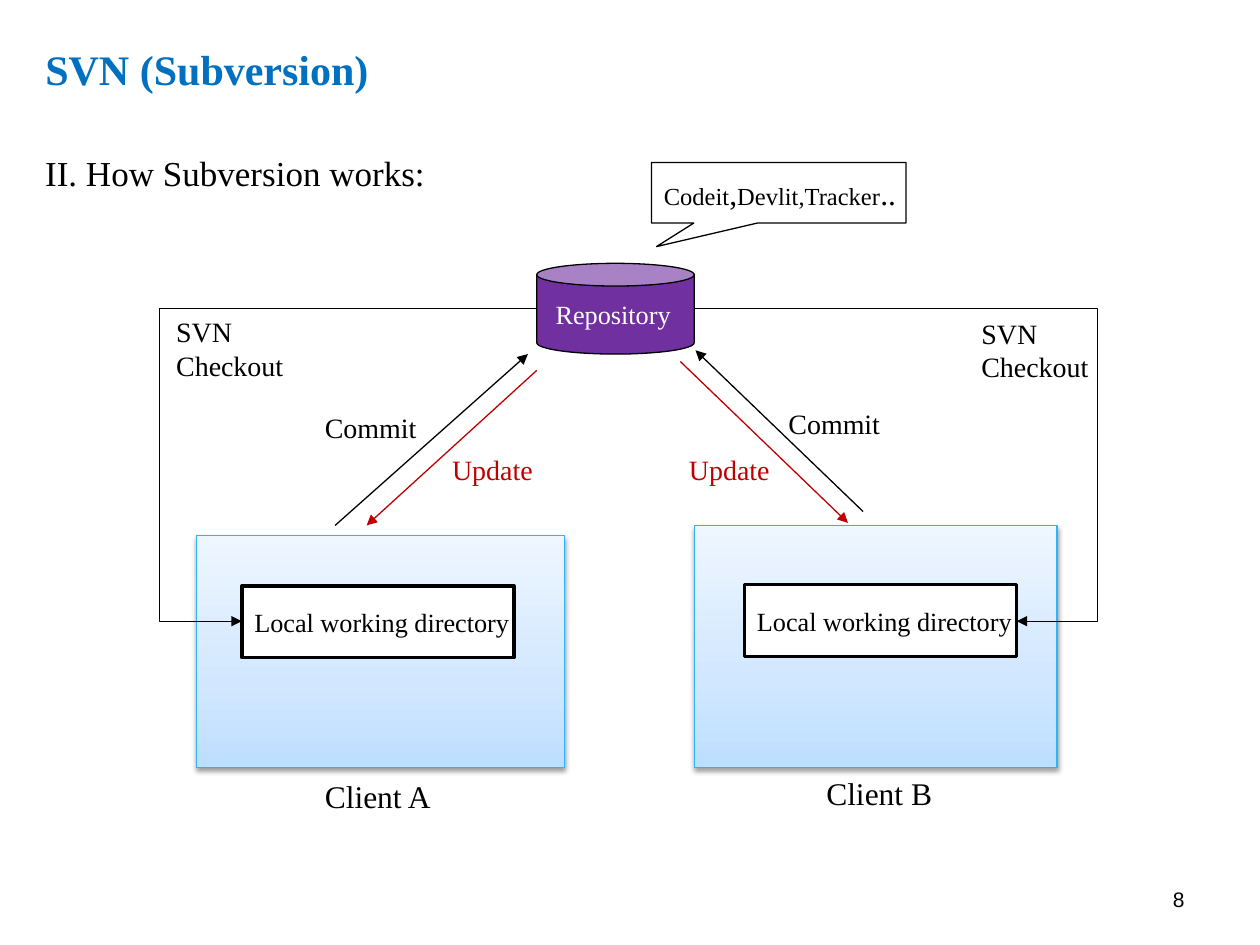
from copy import deepcopy
from pptx import Presentation
from pptx.dml.color import RGBColor
from pptx.enum.shapes import MSO_CONNECTOR, MSO_SHAPE
from pptx.enum.text import MSO_ANCHOR, PP_ALIGN
from pptx.oxml import parse_xml
from pptx.oxml.ns import nsdecls, qn
from pptx.util import Inches, Pt

SERIF = "Times New Roman"
BLACK, WHITE, RED = "000000", "FFFFFF", "C00000"


def rgb(code):
    """Turn a hex string into a colour."""
    return RGBColor.from_string(code)


def style(font, size, color=BLACK, name=SERIF):
    """Set the face, size and colour of a font."""
    font.name, font.size = name, Pt(size)
    font.color.rgb = rgb(color)


def label(slide, box, text, size, color=BLACK, name=SERIF):
    """Place a wrapped line of text and return its paragraph."""
    frame = slide.shapes.add_textbox(*map(Inches, box)).text_frame
    frame.word_wrap = True
    para = frame.paragraphs[0]
    para.text = text
    style(para.font, size, color, name)
    return para


def block(slide, kind, box, fill=WHITE, width=0.75):
    """Place an outlined shape whose text starts at the left."""
    shape = slide.shapes.add_shape(kind, *map(Inches, box))
    shape.shadow.inherit = False
    shape.fill.solid()
    shape.fill.fore_color.rgb = rgb(fill)
    shape.line.color.rgb = rgb(BLACK)
    shape.line.width = Pt(width)
    frame = shape.text_frame
    frame.word_wrap = False
    frame.vertical_anchor = MSO_ANCHOR.MIDDLE
    frame.paragraphs[0].alignment = PP_ALIGN.LEFT
    return shape


def arrow(slide, start, end, color=BLACK, bend=None):
    """Draw a straight arrow, or a bent one when bend is given."""
    kind = MSO_CONNECTOR.STRAIGHT if bend is None else MSO_CONNECTOR.ELBOW
    line = slide.shapes.add_connector(kind, *map(Inches, start + end))
    line.line.color.rgb = rgb(color)
    line.line.width = Pt(0.75)
    props = line._element.spPr
    props.find(qn("a:ln")).append(
        parse_xml(f'<a:tailEnd {nsdecls("a")} type="triangle"/>'))
    props.append(parse_xml(f'<a:effectLst {nsdecls("a")}/>'))
    if bend is not None:
        guide = f'<a:gd {nsdecls("a")} name="adj1" fmla="val {round(bend * 100000)}"/>'
        props.find(qn("a:prstGeom")).get_or_add_avLst().append(parse_xml(guide))


def heading(slide, left, top, width):
    """Place the title and the subject line below it."""
    title = slide.shapes.title
    title.left, title.top = Inches(left), Inches(top)
    title.width, title.height = Inches(width), Inches(0.76)
    title.text_frame.vertical_anchor = MSO_ANCHOR.MIDDLE
    para = title.text_frame.paragraphs[0]
    para.text = "SVN (Subversion)"
    para.alignment = PP_ALIGN.LEFT
    para.line_spacing = 0.9
    style(para.font, 24, "0070C0")
    para.font.bold = True
    label(slide, (left, top + 0.96, width, 0.45), "II. How Subversion works:", 20)


def store(slide, left, top):
    """Place the repository and the callout with its hosts."""
    can = block(slide, MSO_SHAPE.CAN, (left, top, 1.25, 0.72), "7030A0")
    can.text_frame.margin_left = Inches(0.15)
    para = can.text_frame.paragraphs[0]
    para.text = "Repository"
    style(para.font, 15, WHITE)

    note = block(slide, MSO_SHAPE.RECTANGULAR_CALLOUT, (left + 0.91, top - 0.8, 2.02, 0.48))
    note.adjustments[0], note.adjustments[1] = -0.48, 0.89
    para = note.text_frame.paragraphs[0]
    for text, size in ("Codeit", 14), (",", 18), ("Devlit,Tracker", 14), ("..", 18):
        run = para.add_run()
        run.text = text
        style(run.font, size)


def shade(shape):
    """Give a panel its blue gradient and soft shadow."""
    fill = shape.fill
    fill.gradient()
    fill.gradient_angle = 90
    first = fill.gradient_stops[0]._gs
    first.addnext(deepcopy(first))
    tones = (0, "BDDEFF"), (0.35, "D1E7FF"), (1, "EEF6FF")
    for stop, (place, color) in zip(fill.gradient_stops, tones):
        stop.position = place
        stop.color.rgb = rgb(color)
    shape.line.color.rgb = rgb("2BB4FC")
    effect = shape._element.spPr.find(qn("a:effectLst"))
    effect.append(parse_xml(
        f'<a:outerShdw {nsdecls("a")} blurRad="{Pt(3.1)}" dist="{Pt(1.6)}" '
        'dir="5400000" rotWithShape="0"><a:srgbClr val="000000">'
        '<a:alpha val="38000"/></a:srgbClr></a:outerShdw>'))


def client(slide, box, inner, name, spot):
    """Place a client panel, its working directory and its name."""
    left, top, width, height = box
    shade(block(slide, MSO_SHAPE.RECTANGLE, box))
    place = (left + inner[0], top + inner[1], 2.16, 0.57)
    folder = block(slide, MSO_SHAPE.RECTANGLE, place, width=2)
    para = folder.text_frame.paragraphs[0]
    para.text = "Local working directory"
    style(para.font, 15)
    label(slide, (left + spot[0], top + height + spot[1], 1.2, 0.4), name, 18)


def flow(slide, checkout, commit, update, bend, spots):
    """Draw the three exchanges of one client with their labels."""
    arrow(slide, *checkout, bend=bend)
    arrow(slide, *commit)
    arrow(slide, *update, color=RED)
    names = ("SVN Checkout", 1.31, 0.64, BLACK), ("Commit", 1.04, 0.37, BLACK), ("Update", 1.04, 0.37, RED)
    for (text, width, height, color), spot in zip(names, spots):
        label(slide, (*spot, width, height), text, 16, color)


def main():
    """Build the slide and save it."""
    deck = Presentation()
    deck.slide_width, deck.slide_height = Inches(10), Inches(7.5)
    slide = deck.slides.add_slide(deck.slide_layouts[5])
    heading(slide, 0.26, 0.19, 9.49)
    store(slide, 4.26, 2.09)
    client(slide, (1.56, 4.25, 2.92, 1.84), (0.36, 0.4), "Client A", (0.92, 0.03))
    client(slide, (5.51, 4.17, 2.88, 1.92), (0.4, 0.47), "Client B", (0.95, 0))
    flow(slide, ((4.26, 2.45), (1.92, 4.93)), ((2.66, 4.17), (4.19, 2.81)),
         ((4.26, 2.94), (2.91, 4.17)), 1.28, ((1.3, 2.45), (2.48, 3.21), (3.49, 3.54)))
    flow(slide, ((5.51, 2.45), (8.07, 4.93)), ((6.85, 4.06), (5.52, 2.78)),
         ((5.4, 2.87), (6.73, 4.15)), 1.25, ((7.69, 2.46), (6.16, 3.18), (5.37, 3.54)))
    label(slide, (7.17, 6.99, 2.33, 0.41), "8", 12, name="Arial").alignment = PP_ALIGN.RIGHT
    deck.save("out.pptx")


if __name__ == "__main__":
    main()
